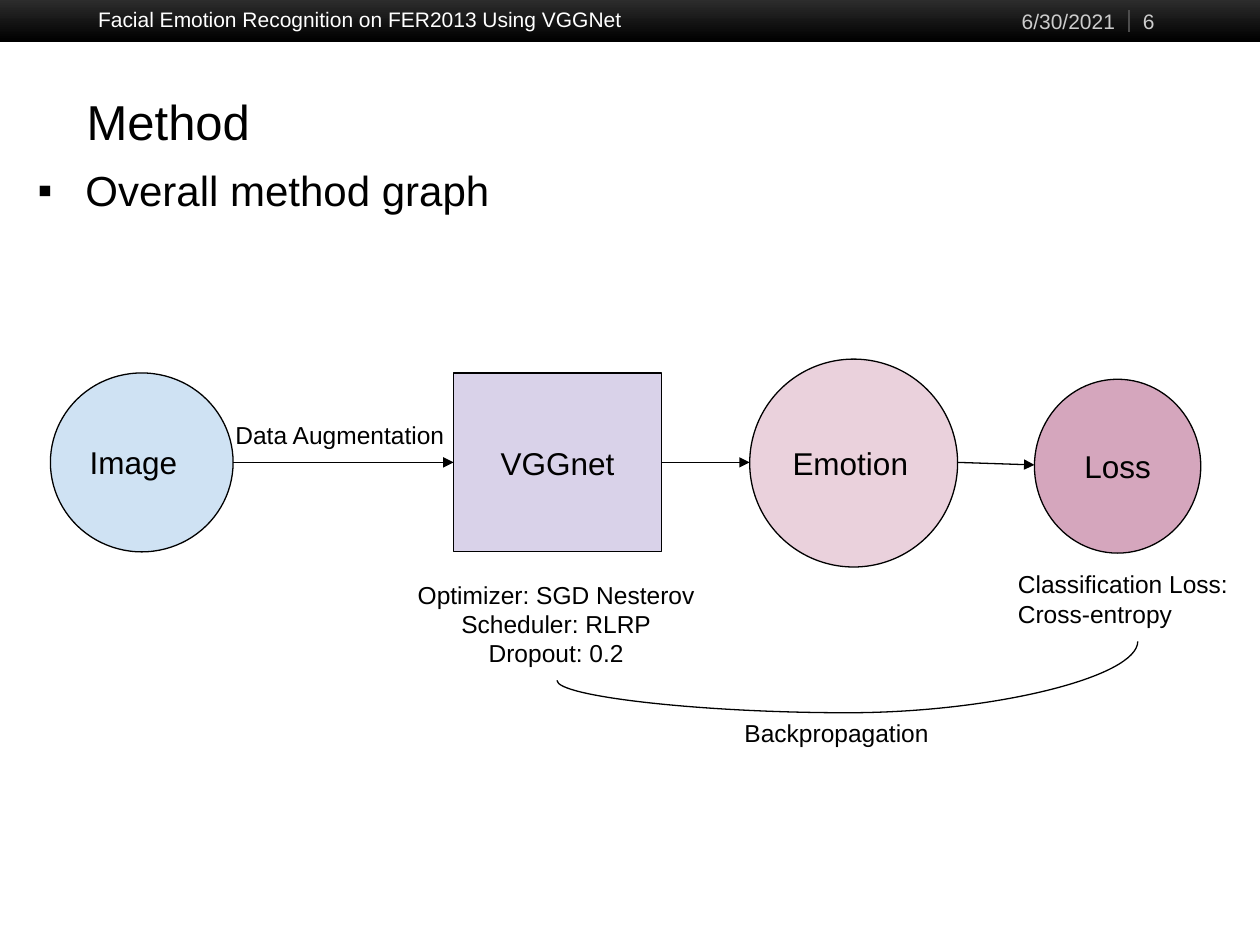
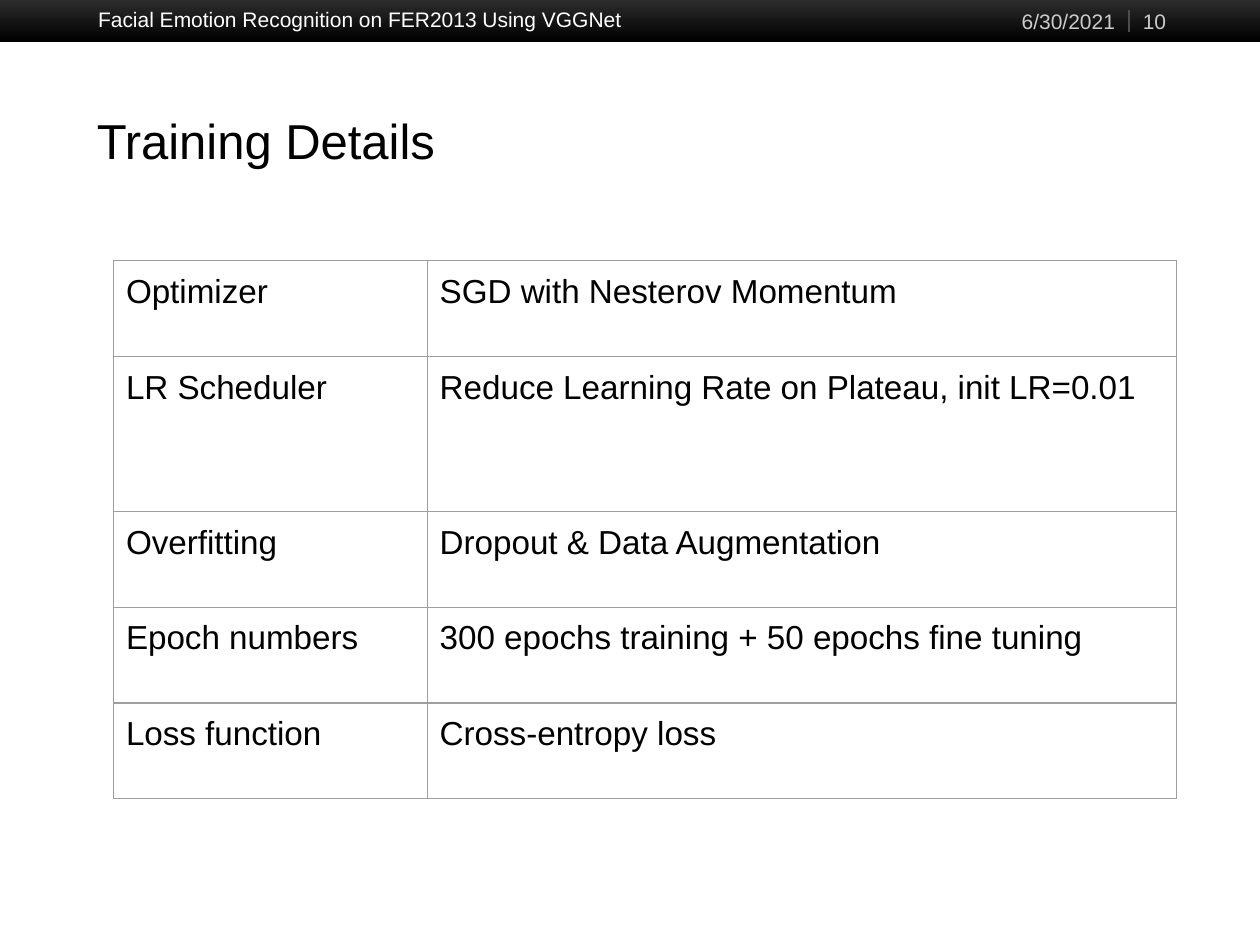
import pptx
import pptx.dml.color
import pptx.enum.shapes
import pptx.enum.text
import pptx.oxml
import pptx.oxml.ns
import pptx.util
from lxml import etree

Inches = pptx.util.Inches
Pt = pptx.util.Pt
Kind = pptx.enum.shapes.MSO_SHAPE
Link = pptx.enum.shapes.MSO_CONNECTOR
Align = pptx.enum.text.PP_ALIGN
Anchor = pptx.enum.text.MSO_ANCHOR
qn = pptx.oxml.ns.qn

FONT = "Arial"
BLACK, WHITE, PALE = "000000", "FFFFFF", "CCCCCC"
DARK, RULE, GRID = "333333", "4D4D4D", "9E9E9E"
BLUE, VIOLET, PINK, ROSE = "CFE2F3", "D9D2E9", "EAD1DC", "D5A6BD"
TALK = "Facial Emotion Recognition on FER2013 Using VGGNet"
DATE = "6/30/2021"
MID = 3.67
DETAILS = [
    ("Optimizer", "SGD with Nesterov Momentum"),
    ("LR Scheduler", "Reduce Learning Rate on Plateau, init LR=0.01"),
    ("Overfitting", "Dropout & Data Augmentation"),
    ("Epoch numbers", "300 epochs training + 50 epochs fine tuning"),
    ("Loss function", "Cross-entropy loss"),
]


def paint(target, color):
    """Give a fill, font or line colour a hex value."""
    target.rgb = pptx.dml.color.RGBColor.from_string(color)


def add(parent, tag, **attrs):
    """Append a drawing element with attributes and return it."""
    return etree.SubElement(parent, qn(tag), attrs)


def write(frame, lines, size, color=BLACK, align=Align.LEFT, anchor=Anchor.TOP, inset=(0.1, 0.1)):
    """Fill a text frame with one paragraph per line."""
    frame.word_wrap = True
    frame.vertical_anchor = anchor
    frame.margin_left = frame.margin_right = Inches(inset[0])
    frame.margin_top = frame.margin_bottom = Inches(inset[1])
    for i, line in enumerate(lines):
        para = frame.add_paragraph() if i else frame.paragraphs[0]
        para.alignment = align
        run = para.add_run()
        run.text = line
        run.font.name = FONT
        run.font.size = Pt(size)
        paint(run.font.color, color)


def label(slide, box, lines, size=14, **style):
    """Add a text box and return its frame."""
    frame = slide.shapes.add_textbox(*map(Inches, box)).text_frame
    write(frame, lines, size, **style)
    return frame


def node(slide, kind, box, fill, text, align=Align.CENTER):
    """Add a filled, outlined step of the method graph."""
    shape = slide.shapes.add_shape(kind, *map(Inches, box))
    shape.shadow.inherit = False
    shape.fill.solid()
    paint(shape.fill.fore_color, fill)
    paint(shape.line.color, BLACK)
    shape.line.width = Pt(0.75)
    write(shape.text_frame, [text], 18, align=align, anchor=Anchor.MIDDLE)
    return shape


def join(slide, start, end, kind=Link.STRAIGHT, color=BLACK, width=0.75):
    """Add a plain connector without a shadow."""
    wire = slide.shapes.add_connector(kind, *map(Inches, start + end))
    paint(wire.line.color, color)
    wire.line.width = Pt(width)
    add(wire._element.spPr, "a:effectLst")
    return wire


def arrow(slide, start, end):
    """Add a connector with a triangle at its end."""
    wire = join(slide, start, end)
    add(wire.line._get_or_add_ln(), "a:tailEnd", type="triangle")
    return wire


def curve(slide, start, end, bend):
    """Add a curved connector turned a quarter circle, with a given bend."""
    wire = join(slide, start, end, Link.CURVE)
    props = wire._element.spPr
    props.find(qn("a:xfrm")).set("rot", "5400000")
    geom = props.find(qn("a:prstGeom"))
    guides = geom.find(qn("a:avLst"))
    if guides is None:
        guides = add(geom, "a:avLst")
    add(guides, "a:gd", name="adj1", fmla=f"val {bend}")


def bullet(para, mark, indent):
    """Give a paragraph a hanging bullet."""
    props = para._p.get_or_add_pPr()
    props.set("marL", str(Inches(indent)))
    props.set("indent", str(-Inches(indent)))
    add(add(props, "a:buClr"), "a:srgbClr", val=BLACK)
    add(props, "a:buFont", typeface=FONT)
    add(props, "a:buChar", char=mark)


def frame_cell(cell):
    """Draw thin grey borders around a cell."""
    props = cell._tc.get_or_add_tcPr()
    for side in "LRTB":
        edge = add(props, f"a:ln{side}", w=str(Pt(0.75)))
        add(add(edge, "a:solidFill"), "a:srgbClr", val=GRID)


def grid(slide, spot, widths, heights, rows):
    """Add a bordered table without fills."""
    size = (sum(widths), sum(heights))
    table = slide.shapes.add_table(len(rows), len(widths), *map(Inches, spot + size)).table
    table.first_row = table.horz_banding = False
    for col, width in zip(table.columns, widths):
        col.width = Inches(width)
    for r, texts in enumerate(rows):
        table.rows[r].height = Inches(heights[r])
        for c, text in enumerate(texts):
            cell = table.cell(r, c)
            frame_cell(cell)
            cell.fill.background()
            cell.margin_left = cell.margin_right = Inches(0.1)
            cell.margin_top = cell.margin_bottom = Inches(0.1)
            run = cell.text_frame.paragraphs[0].add_run()
            run.text = text
            run.font.name = FONT
            run.font.size = Pt(19)
            paint(run.font.color, BLACK)


def header(slide, page):
    """Add the dark band with talk name, date and page number."""
    band = slide.shapes.add_shape(Kind.RECTANGLE, *map(Inches, (0, -0.05, 10, 0.38)))
    band.shadow.inherit = False
    band.line.fill.background()
    band.fill.gradient()
    band.fill.gradient_angle = 270
    for stop, color, place in zip(band.fill.gradient_stops, (DARK, BLACK), (0, 1)):
        paint(stop.color, color)
        stop.position = place
    join(slide, (8.96, 0.08), (8.96, 0.25), color=RULE, width=1)
    small = {"size": 12, "anchor": Anchor.MIDDLE}
    label(slide, (7.68, 0, 1.17, 0.33), [DATE], color=PALE, align=Align.RIGHT, inset=(0, 0.05), **small)
    label(slide, (9.07, 0, 0.93, 0.33), [page], color=PALE, inset=(0, 0.05), **small)
    label(slide, (0.68, 0, 7.12, 0.3), [TALK], color=WHITE, inset=(0.1, 0.05), **small)


def start(deck, page, title, left, top):
    """Add a blank slide with its header and title."""
    slide = deck.slides.add_slide(deck.slide_layouts[6])
    header(slide, page)
    label(slide, (left, top, 8.67, 0.75), [title], 28, inset=(0.1, 0.05))
    return slide


def method(deck):
    """Build the slide with the method graph."""
    slide = start(deck, "6", "Method", 0.59, 0.68)
    body = label(slide, (0.2, 1.26, 9.06, 0.6), ["Overall method graph"], 24, inset=(0.1, 0.05))
    bullet(body.paragraphs[0], "▪", 0.38)

    node(slide, Kind.OVAL, (0.4, 2.96, 1.45, 1.42), BLUE, "Image", Align.LEFT)
    net = node(slide, Kind.RECTANGLE, (3.6, 2.96, 1.65, 1.42), VIOLET, "VGGnet")
    node(slide, Kind.OVAL, (5.95, 2.85, 1.65, 1.65), PINK, "Emotion", Align.LEFT)
    node(slide, Kind.OVAL, (8.21, 3.01, 1.32, 1.38), ROSE, "Loss")

    arrow(slide, (1.85, MID), (3.6, MID)).end_connect(net, 1)
    arrow(slide, (5.25, MID), (5.95, MID)).begin_connect(net, 3)
    arrow(slide, (7.6, MID), (8.21, 3.69))
    curve(slide, (6.57, 2.94), (6.88, 7.55), 182900)

    label(slide, (1.77, 3.23, 2, 0.44), ["Data Augmentation"])
    setup = ["Optimizer: SGD Nesterov", "Scheduler: RLRP", "Dropout: 0.2"]
    label(slide, (3.15, 4.5, 2.53, 0.91), setup, align=Align.CENTER)
    label(slide, (7.98, 4.42, 2.11, 0.67), ["Classification Loss:", "Cross-entropy"])
    label(slide, (5.81, 5.6, 2.11, 0.44), ["Backpropagation"])


def details(deck):
    """Build the slide with the training table."""
    slide = start(deck, "10", "Training Details", 0.67, 0.83)
    grid(slide, (0.9, 2.07), (2.49, 5.95), (0.76, 1.23, 0.76, 0.76, 0.76), DETAILS)


def main():
    """Build and save the deck."""
    deck = pptx.Presentation()
    deck.slide_width, deck.slide_height = Inches(10), Inches(7.5)
    method(deck)
    details(deck)
    deck.save("out.pptx")


if __name__ == "__main__":
    main()
